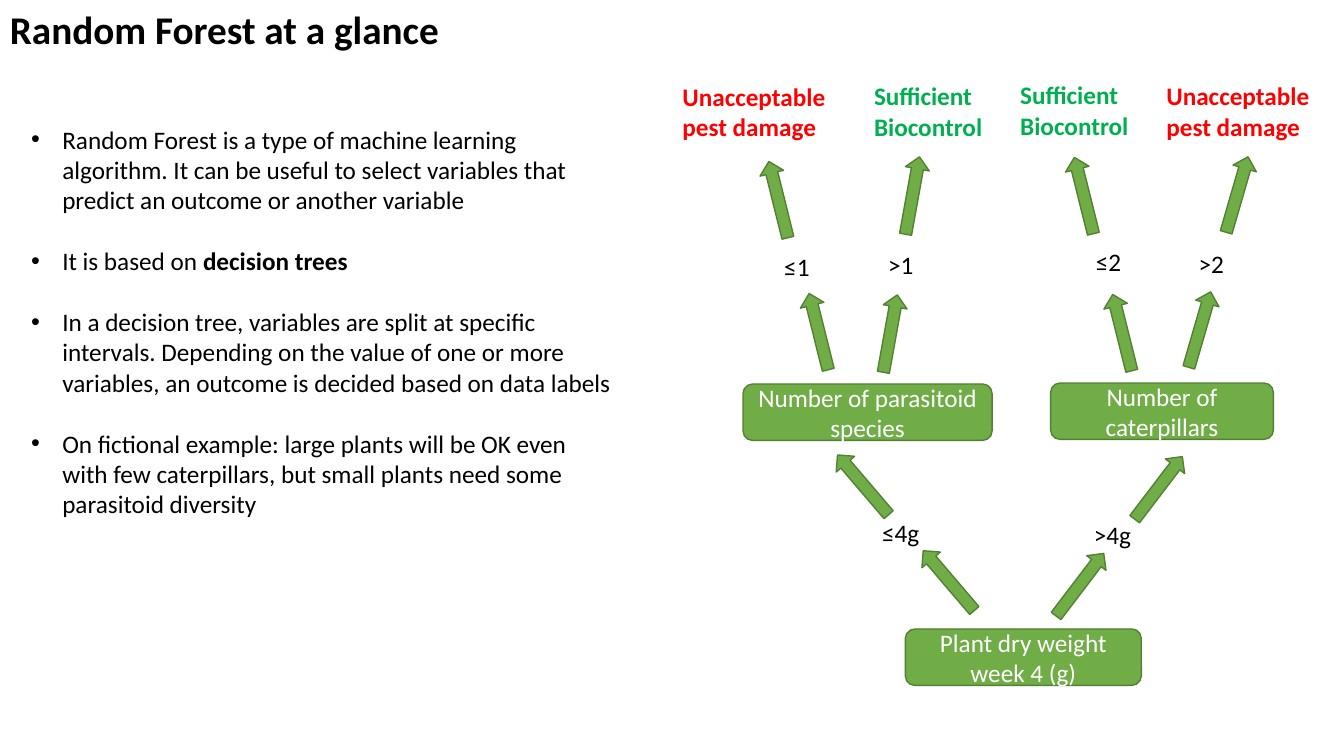
from lxml import etree
from pptx import Presentation
from pptx.dml.color import RGBColor
from pptx.enum import shapes, text
from pptx.oxml import ns
from pptx.util import Inches, Pt

BLACK, WHITE, RED, GREEN = "000000", "FFFFFF", "FF0000", "00B050"
FILL, OUTLINE = "70AD47", "538035"

BULLETS = [
    [("Random Forest is a type of machine learning algorithm. It can be useful "
      "to select variables that predict an outcome or another variable", False)],
    [("It is based on ", False), ("decision trees", True)],
    [("In a decision tree, variables are split at specific intervals. Depending on the "
      "value of one or more variables, an outcome is decided based on data labels", False)],
    [("On fictional example: large plants will be OK even with few caterpillars, "
      "but small plants need some parasitoid diversity", False)],
]

# Tree positions are inches from the top left corner of the tree's box.
DAMAGE = dict(lines=["Unacceptable pest damage"], color=RED, width=1.66, wrap=True)
CONTROL = dict(lines=["Sufficient", "Biocontrol"], color=GREEN, width=1.28, wrap=False)
OUTCOMES = [(0, 0.02, DAMAGE), (1.9, 0.01, CONTROL), (3.35, 0, CONTROL), (4.8, 0.01, DAMAGE)]
NODES = [
    ("Number of caterpillars", 3.75, 3.06, 2.21),
    ("Number of parasitoid species", 0.7, 3.07, 2.47),
    ("Plant dry weight week 4 (g)", 2.31, 5.5, 2.34),
]
# condition, its position and width, arrow rotation, lower arrow, upper arrow
BRANCHES = [
    ("≤4g", (1.98, 4.34), 0.58, 139.5, (2.62, 4.63), (1.77, 3.68)),
    (">4g", (4.08, 4.36), 0.58, 217.3, (3.92, 4.67), (4.7, 3.71)),
    ("≤1", (1.01, 1.7), 0.46, 166, (1.33, 2.16), (0.93, 0.85)),
    (">1", (2.04, 1.68), 0.46, 190.2, (2.04, 2.18), (2.26, 0.81)),
    ("≤2", (4.1, 1.65), 0.46, 166, (4.34, 2.17), (3.96, 0.81)),
    (">2", (5.12, 1.67), 0.46, 196.2, (5.11, 2.14), (5.48, 0.8)),
]


def rgb(value):
    return RGBColor.from_string(value)


def add_run(p, words, size=18, color=BLACK, bold=False):
    r = p.add_run()
    r.text = words
    r.font.name = "Calibri"
    r.font.size = Pt(size)
    r.font.bold = bold
    r.font.color.rgb = rgb(color)


def add_text(slide, lines, left, top, width, height, wrap=False, **style):
    sp = slide.shapes.add_textbox(Inches(left), Inches(top), Inches(width), Inches(height))
    tf = sp.text_frame
    tf.word_wrap = wrap
    for i, line in enumerate(lines):
        p = tf.paragraphs[0] if i == 0 else tf.add_paragraph()
        add_run(p, line, **style)


def add_green_shape(slide, kind, left, top, width, height):
    sp = slide.shapes.add_shape(kind, Inches(left), Inches(top), Inches(width), Inches(height))
    sp.shadow.inherit = False
    sp.fill.solid()
    sp.fill.fore_color.rgb = rgb(FILL)
    sp.line.color.rgb = rgb(OUTLINE)
    sp.line.width = Pt(1)
    return sp


def add_node(slide, words, left, top, width):
    sp = add_green_shape(slide, shapes.MSO_SHAPE.ROUNDED_RECTANGLE, left, top, width, 0.56)
    tf = sp.text_frame
    tf.word_wrap = True
    tf.vertical_anchor = text.MSO_ANCHOR.MIDDLE
    p = tf.paragraphs[0]
    p.alignment = text.PP_ALIGN.CENTER
    add_run(p, words, color=WHITE)


def add_bullets(slide, left, top, width, height):
    sp = slide.shapes.add_textbox(Inches(left), Inches(top), Inches(width), Inches(height))
    tf = sp.text_frame
    tf.word_wrap = True
    for i, runs in enumerate(BULLETS):
        p = tf.paragraphs[0] if i == 0 else tf.add_paragraph()
        p.space_before = Pt(22 if i else 0)
        pPr = p._p.get_or_add_pPr()
        pPr.set("marL", str(Inches(0.31)))
        pPr.set("indent", str(Inches(-0.31)))
        etree.SubElement(pPr, ns.qn("a:buFont")).set("typeface", "Arial")
        etree.SubElement(pPr, ns.qn("a:buChar")).set("char", "•")
        for words, bold in runs:
            add_run(p, words, bold=bold)


def add_tree(slide, left, top):
    """Decision tree growing upwards from its root node."""
    for x, y, outcome in OUTCOMES:
        add_text(slide, left=left + x, top=top + y, height=0.71, bold=True, **outcome)
    for words, x, y, width in NODES:
        add_node(slide, words, left + x, top + y, width)
    for condition, (x, y), width, angle, *arrows in BRANCHES:
        add_text(slide, [condition], left + x, top + y, width, 0.4)
        for ax, ay in arrows:
            arrow = add_green_shape(slide, shapes.MSO_SHAPE.DOWN_ARROW,
                                    left + ax, top + ay, 0.24, 0.78)
            arrow.rotation = angle


def main():
    prs = Presentation()
    prs.slide_width, prs.slide_height = Inches(13.33), Inches(7.5)
    slide = prs.slides.add_slide(prs.slide_layouts[6])
    add_text(slide, ["Random Forest at a glance"], 0, 0, 4.51, 0.57, size=28, bold=True)
    add_bullets(slide, 0.21, 1.18, 5.96, 5.25)
    add_tree(slide, 6.67, 0.74)
    prs.save("out.pptx")


if __name__ == "__main__":
    main()
